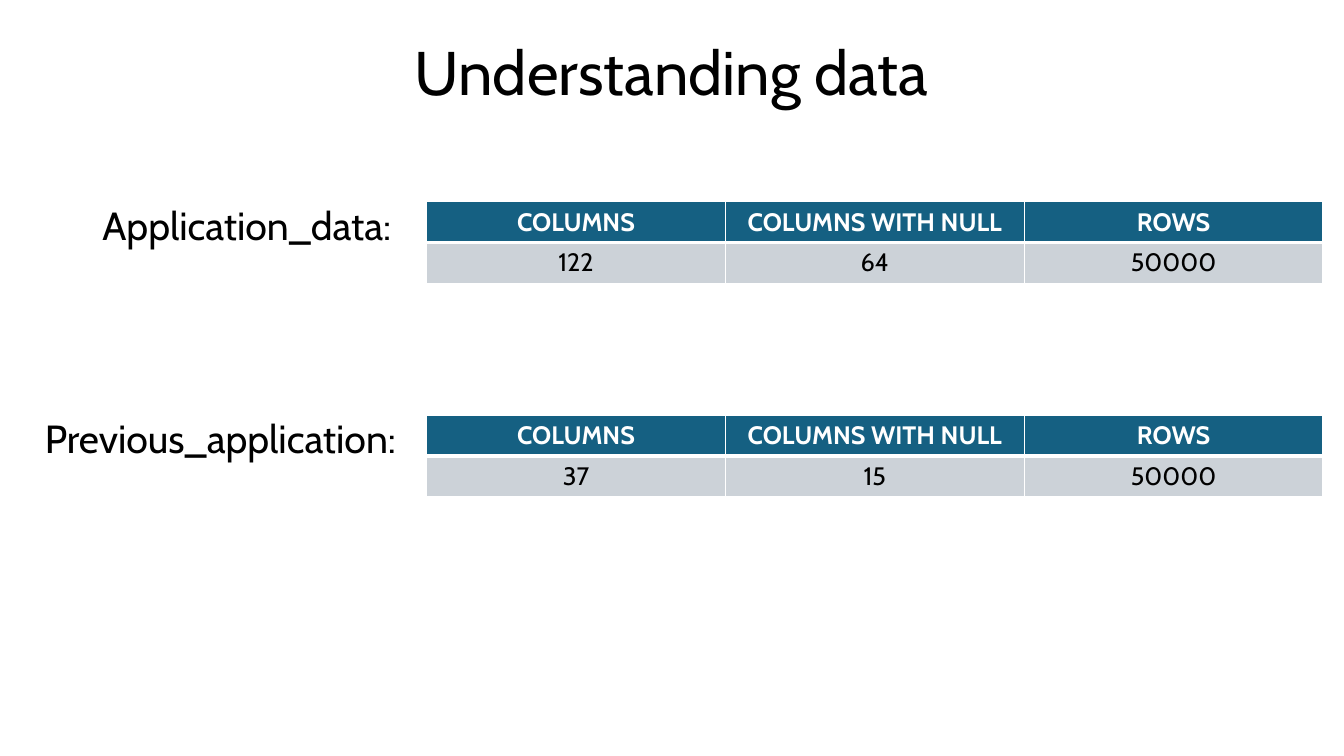
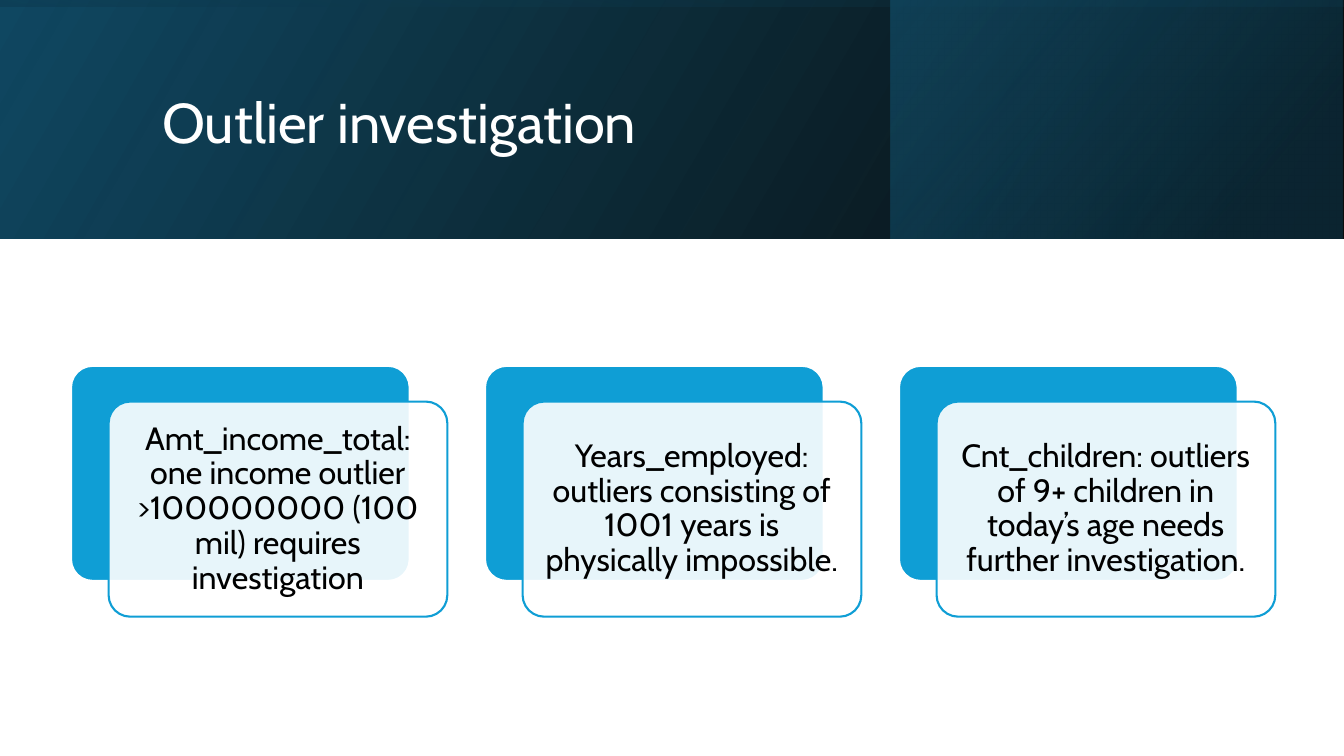
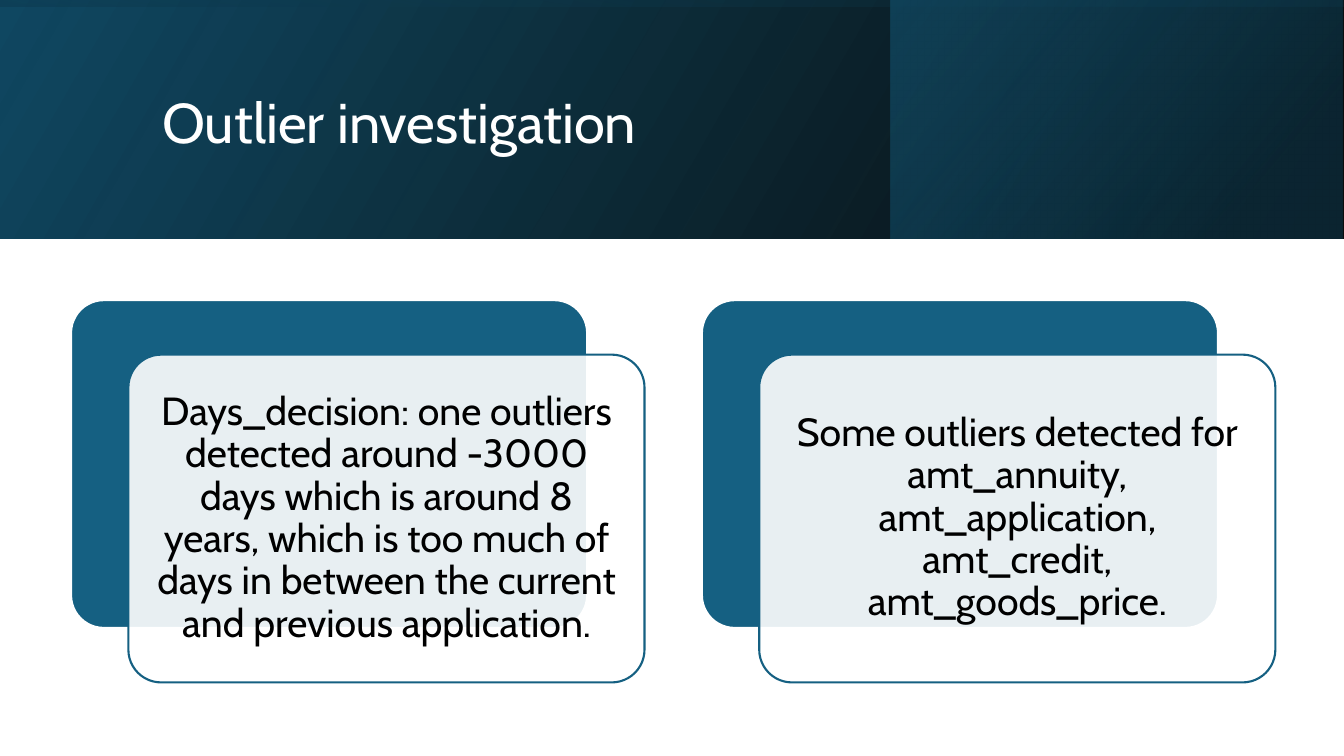
from dataclasses import dataclass

from lxml import etree
from pptx import Presentation
from pptx.dml.color import RGBColor
from pptx.enum.shapes import MSO_SHAPE as Shape
from pptx.enum.text import MSO_ANCHOR as Anchor, PP_ALIGN as Align
from pptx.oxml.ns import qn
from pptx.util import Cm, Pt


@dataclass(frozen=True)
class Theme:
    font: str = "Cabin"
    white: str = "FFFFFF"
    black: str = "000000"
    teal: str = "156082"
    sky: str = "0F9ED5"
    navy: str = "104862"
    deep: str = "0B3041"
    grey: str = "CCD2D8"
    title: int = 44
    band_title: int = 40
    body: int = 28
    card: int = 23
    table: int = 18


T = Theme()
SLIDE_W, SLIDE_H = 33.87, 19.05
BAND_H = 6.02


def rgb(color):
    return RGBColor.from_string(color)


def write(tf, text, size=T.body, color=T.black, bold=False, align=Align.LEFT,
          anchor=Anchor.TOP, spacing=0.9):
    tf.word_wrap = True
    tf.vertical_anchor = anchor
    p = tf.paragraphs[0]
    p.alignment = align
    p.line_spacing = spacing
    r = p.add_run()
    r.text = text
    f = r.font
    f.name, f.size, f.bold = T.font, Pt(size), bold
    f.color.rgb = rgb(color)


def add_text(slide, text, x, y, w, h, **fmt):
    box = slide.shapes.add_textbox(Cm(x), Cm(y), Cm(w), Cm(h))
    write(box.text_frame, text, **fmt)


def add_color(parent, color, opacity=100):
    clr = etree.SubElement(parent, qn("a:srgbClr"), val=color)
    if opacity < 100:
        etree.SubElement(clr, qn("a:alpha"), val=str(opacity * 1000))


def add_gradient(slide, x, y, w, h, stops, angle, rotation=0):
    """Mirrored rectangle; stops are (position, colour, opacity) in percent."""
    sp = slide.shapes.add_shape(Shape.RECTANGLE, Cm(x), Cm(y), Cm(w), Cm(h))
    sp.shadow.inherit = False
    sp.line.fill.background()
    sp.rotation = rotation
    pr = sp._element.spPr
    pr.find(qn("a:xfrm")).set("flipH", "1")
    grad = etree.Element(qn("a:gradFill"), rotWithShape="1")
    gs_list = etree.SubElement(grad, qn("a:gsLst"))
    for pos, color, opacity in stops:
        gs = etree.SubElement(gs_list, qn("a:gs"), pos=str(pos * 1000))
        add_color(gs, color, opacity)
    etree.SubElement(grad, qn("a:lin"), ang=str(angle * 60000), scaled="0")
    pr.find(qn("a:prstGeom")).addnext(grad)


def add_band(slide, title):
    add_gradient(slide, 0, 0, SLIDE_W, BAND_H,
                 [(0, T.black, 96), (100, T.navy, 100)], 330)
    add_gradient(slide, 22.45, 0, 11.38, BAND_H,
                 [(19, T.deep, 68), (100, T.teal, 48)], 320)
    shift = (SLIDE_W - BAND_H) / 2
    add_gradient(slide, shift, -shift, BAND_H, SLIDE_W,
                 [(23, T.navy, 16), (99, T.black, 45)], 350, rotation=270)
    add_text(slide, title, 3.84, 0.97, 27, 4.37, size=T.band_title,
             color=T.white, anchor=Anchor.MIDDLE)


def add_round_box(slide, x, y, w, h, fill, line, opacity=100):
    sp = slide.shapes.add_shape(Shape.ROUNDED_RECTANGLE,
                                Cm(x), Cm(y), Cm(w), Cm(h))
    sp.adjustments[0] = 0.1
    sp.shadow.inherit = False
    sp.fill.solid()
    sp.fill.fore_color.rgb = rgb(fill)
    if opacity < 100:
        clr = sp._element.spPr.find(qn("a:solidFill"))[0]
        etree.SubElement(clr, qn("a:alpha"), val=str(opacity * 1000))
    sp.line.color.rgb = rgb(line)
    sp.line.width = Pt(1.5)
    return sp


def add_cards(slide, texts, color, size):
    """Row of cards, 9 units wide and 11 apart; each front is shifted by 1."""
    left, total, middle = 1.79, 30.35, 12.38
    unit = total / (11 * len(texts) - 1)
    w, h = 9 * unit, 5.715 * unit
    drop = 0.95 * unit
    top = middle - (h + drop) / 2
    for i, text in enumerate(texts):
        x = left + 11 * unit * i
        add_round_box(slide, x, top, w, h, color, T.white)
        front = add_round_box(slide, x + unit, top + drop, w, h,
                              T.white, color, opacity=90)
        tf = front.text_frame
        tf.margin_left = tf.margin_right = Pt(size * 0.3)
        tf.margin_top = tf.margin_bottom = Pt(size * 0.3)
        write(tf, text, size=size, align=Align.CENTER, anchor=Anchor.MIDDLE)


def set_borders(cell, **widths):
    pr = cell._tc.get_or_add_tcPr()
    for i, side in enumerate("LRTB"):
        ln = etree.Element(qn(f"a:ln{side}"),
                           w=str(Pt(widths.get(side, 1))))
        add_color(etree.SubElement(ln, qn("a:solidFill")), T.white)
        pr.insert(i, ln)


def add_table(slide, rows, x, y):
    col_w, row_h = 7.53, 1.03
    n_rows, n_cols = len(rows), len(rows[0])
    table = slide.shapes.add_table(n_rows, n_cols, Cm(x), Cm(y),
                                   Cm(col_w * n_cols),
                                   Cm(row_h * n_rows)).table
    for col in table.columns:
        col.width = Cm(col_w)
    for i, values in enumerate(rows):
        header = i == 0
        table.rows[i].height = Cm(row_h)
        for j, value in enumerate(values):
            cell = table.cell(i, j)
            cell.fill.solid()
            cell.fill.fore_color.rgb = rgb(T.teal if header else T.grey)
            set_borders(cell, **({"B": 3} if header else {"T": 3}))
            write(cell.text_frame, value, size=T.table, bold=header,
                  color=T.white if header else T.black,
                  align=Align.CENTER, spacing=1.0)


def data_slide(slide):
    add_text(slide, "Understanding data", 2.33, 0.95, 29.2, 1.9,
             size=T.title, align=Align.CENTER, anchor=Anchor.MIDDLE)
    header = ["COLUMNS", "COLUMNS WITH NULL", "ROWS"]
    for label, x, y, values in [
        ("Application_data:", 2.33, 5.08, ["122", "64", "50000"]),
        ("Previous_application:", 0.88, 10.46, ["37", "15", "50000"]),
    ]:
        add_text(slide, label, x, y, 10.7 - x, 1.4)
        add_table(slide, [header, values], 10.75, y)


def outlier_slide(slide, texts, color, size):
    add_band(slide, "Outlier investigation")
    add_cards(slide, texts, color, size)


def main():
    prs = Presentation()
    prs.slide_width, prs.slide_height = Cm(SLIDE_W), Cm(SLIDE_H)
    blank = prs.slide_layouts[6]
    data_slide(prs.slides.add_slide(blank))
    outlier_slide(prs.slides.add_slide(blank), [
        "Amt_income_total: one income outlier >100000000 (100 mil) "
        "requires investigation",
        "Years_employed: outliers consisting of 1001 years is "
        "physically impossible.",
        "Cnt_children: outliers of 9+ children in today’s age needs "
        "further investigation.",
    ], T.sky, T.card)
    outlier_slide(prs.slides.add_slide(blank), [
        "Days_decision: one outliers detected around -3000 days which is "
        "around 8 years, which is too much of days in between the current "
        "and previous application.",
        "Some outliers detected for amt_annuity, amt_application, "
        "amt_credit, amt_goods_price.",
    ], T.teal, T.body)
    prs.save("out.pptx")


if __name__ == "__main__":
    main()
